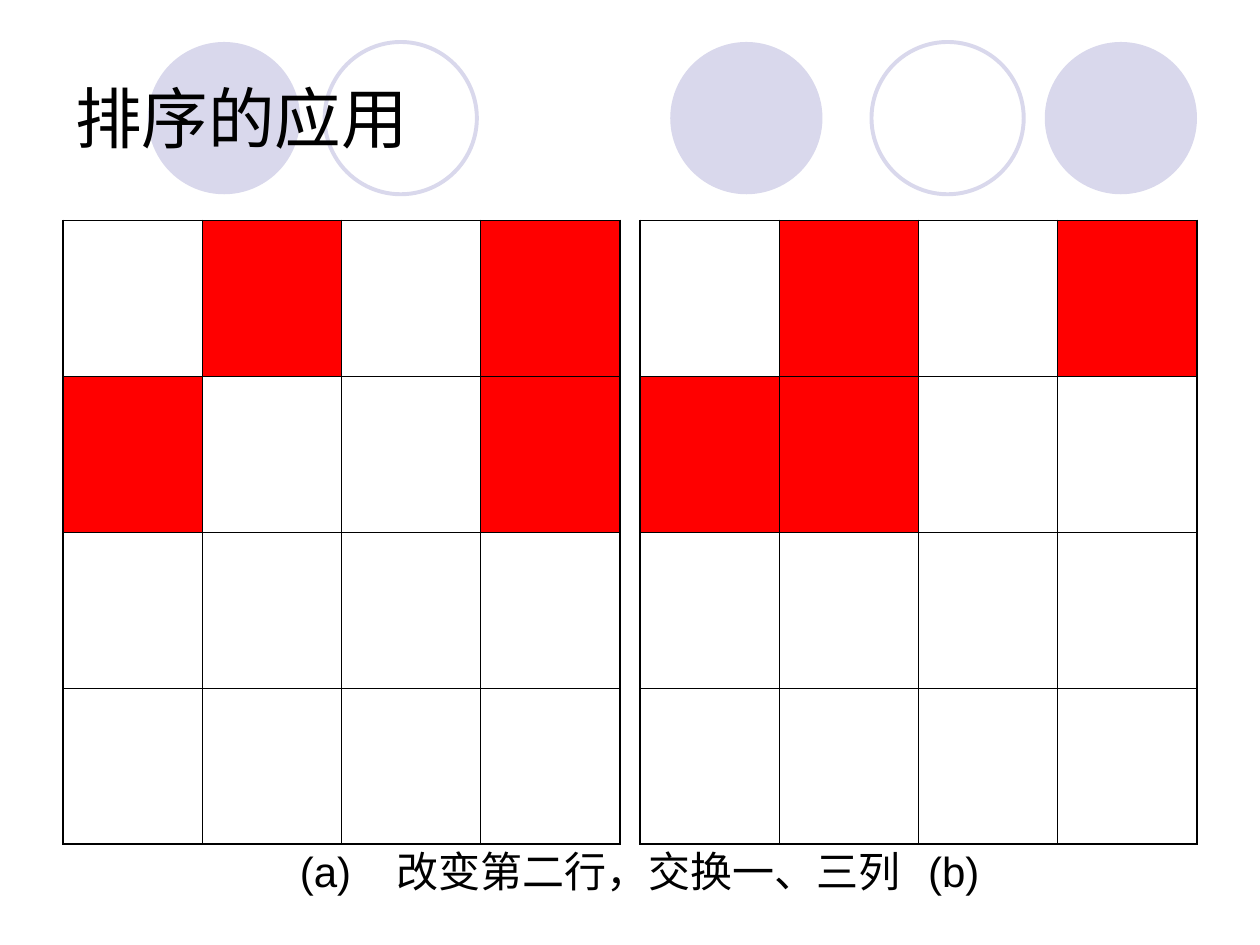
from lxml import etree
from pptx import Presentation
from pptx.dml.color import RGBColor
from pptx.enum import shapes, text
from pptx.oxml import ns
from pptx.util import Pt

BLACK = RGBColor(0, 0, 0)
RED = RGBColor(0xFF, 0, 0)
LAVENDER = RGBColor(0xD9, 0xD8, 0xEC)
SIZE = 4
CELL_WIDTH, CELL_HEIGHT = 79.56, 89.1


def add_border(cell, side, width):
    line = etree.SubElement(cell._tc.get_or_add_tcPr(), ns.qn(f"a:ln{side}"), w=str(Pt(width)))
    fill = etree.SubElement(line, ns.qn("a:solidFill"))
    etree.SubElement(fill, ns.qn("a:srgbClr"), val=str(BLACK))


def add_label(left, top, width, height, words, size):
    box = page.shapes.add_textbox(Pt(left), Pt(top), Pt(width), Pt(height))
    box.text_frame.word_wrap = True
    box.text_frame.text = words
    font = box.text_frame.paragraphs[0].runs[0].font
    font.name, font.size, font.color.rgb = "Arial", Pt(size), BLACK
    return box.text_frame


deck = Presentation()
deck.slide_width, deck.slide_height = Pt(720), Pt(540)
page = deck.slides.add_slide(deck.slide_layouts[6])

for left, filled in [(383, True), (597, True), (84.5, True), (498, False), (185.5, False)]:
    circle = page.shapes.add_shape(shapes.MSO_SHAPE.OVAL, Pt(left), Pt(24), Pt(87), Pt(87))
    circle.shadow.inherit = False
    if filled:
        circle.fill.solid()
        circle.fill.fore_color.rgb = LAVENDER
        circle.line.fill.background()
    else:
        circle.fill.background()
        circle.line.color.rgb = LAVENDER
        circle.line.width = Pt(2.25)

title = add_label(36, 21.6, 648, 90, "排序的应用", 38)
title.vertical_anchor = text.MSO_ANCHOR.MIDDLE

boards = [
    (36, {(0, 1), (0, 3), (1, 0), (1, 3)}),
    (365.76, {(0, 1), (0, 3), (1, 0), (1, 1)}),
]
for left, red_cells in boards:
    board = page.shapes.add_table(
        SIZE, SIZE, Pt(left), Pt(126), Pt(SIZE * CELL_WIDTH), Pt(SIZE * CELL_HEIGHT)
    ).table
    board.first_row = board.horz_banding = False
    for column in board.columns:
        column.width = Pt(CELL_WIDTH)
    for r, row in enumerate(board.rows):
        row.height = Pt(CELL_HEIGHT)
        for c, cell in enumerate(row.cells):
            outer = {"L": c == 0, "R": c == SIZE - 1, "T": r == 0, "B": r == SIZE - 1}
            for side, is_outer in outer.items():
                add_border(cell, side, 1.08 if is_outer else 0.45)
            if (r, c) in red_cells:
                cell.fill.solid()
                cell.fill.fore_color.rgb = RED
            else:
                cell.fill.background()

caption = add_label(110.16, 479.5, 504.7, 36, "(a)\t改变第二行，交换一、三列\t(b)", 24)
caption.margin_left = Pt(61.2)
tabs = etree.SubElement(caption.paragraphs[0]._p.get_or_add_pPr(), ns.qn("a:tabLst"))
for stop in (55, 359):
    etree.SubElement(tabs, ns.qn("a:tab"), pos=str(Pt(stop)), algn="l")

deck.save("out.pptx")
